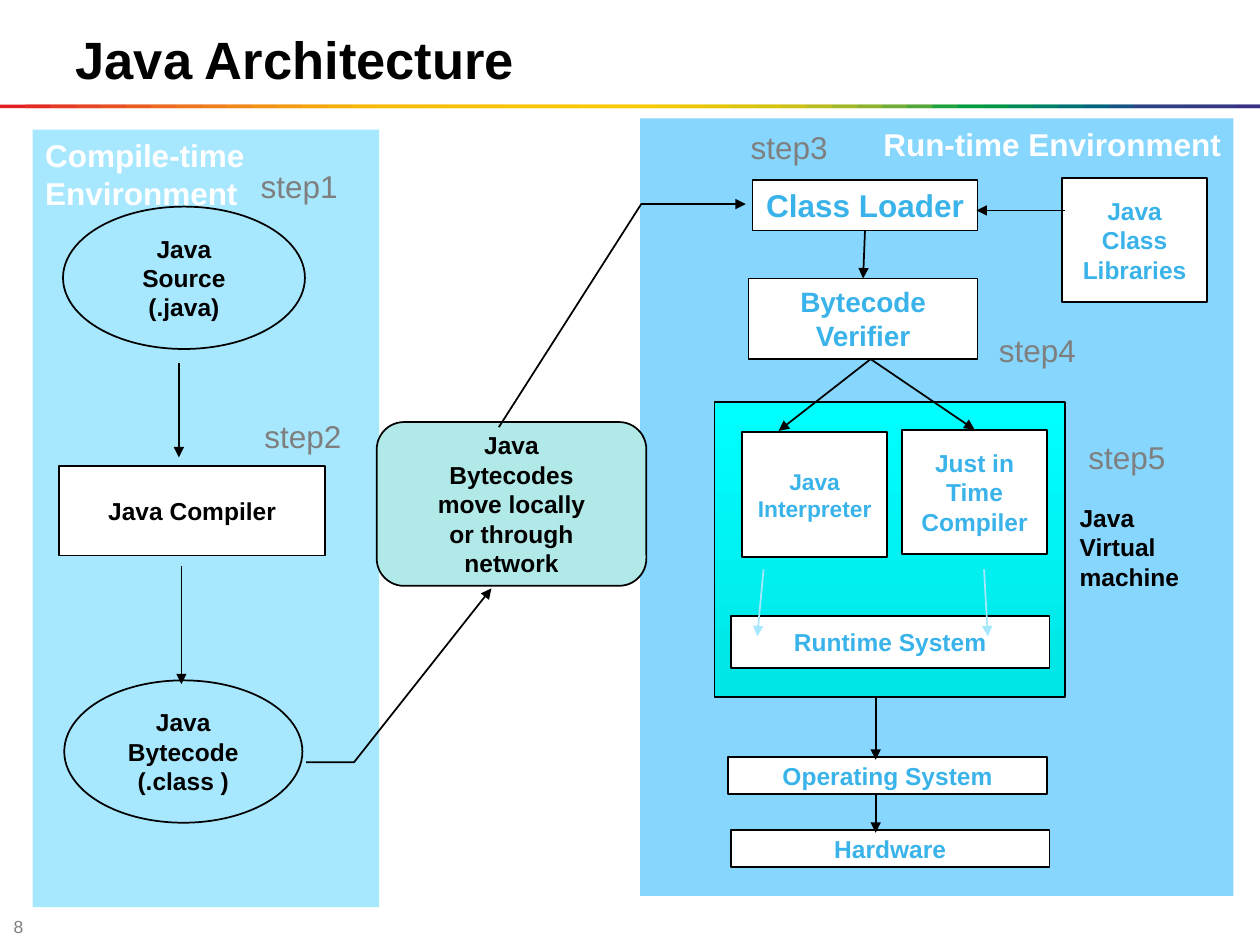
from lxml.etree import SubElement
from pptx import Presentation
from pptx.dml.color import RGBColor
from pptx.enum.shapes import MSO_CONNECTOR, MSO_SHAPE
from pptx.enum.text import MSO_ANCHOR, PP_ALIGN
from pptx.oxml.ns import qn
from pptx.util import Inches, Pt

COLORS = {
    "black": "000000", "white": "FFFFFF", "grey": "7F7F7F", "blue": "39B3E9",
    "run": "86D6FE", "compile": "A7E8FF", "network": "B1E9E8",
    "machine_top": "00FFFF", "machine_bottom": "00E5E5",
}
RAINBOW = """
E31E24 E42C24 E53A24 E74623 E85122 EA5D21 EC691F EE741D EF7E1A F18817
F39314 F49C0F F6A607 F8B002 FBBA00 FBBB00 FBBD00 FCBF00 FCC000 FCC200
FDC400 FDC600 FDC700 FEC900 FECB00 FBCB00 F3CA00 ECC800 E4C602 DCC50A
D5C30E CCC117 B8BC21 A3B829 8CB230 71AD36 51A73B 1DA240 009D43 009846
008C57 008068 007275 00637F 185384 2E4285 313E85 333B85 353885 393185
""".split()
COLUMNS, ROWS = 100, 75
LEFT, CENTER, RIGHT = PP_ALIGN.LEFT, PP_ALIGN.CENTER, PP_ALIGN.RIGHT
TOP, MIDDLE = MSO_ANCHOR.TOP, MSO_ANCHOR.MIDDLE


def write(frame, text, size=14, color="black", bold=True, align=CENTER, anchor=MIDDLE, wrap=True):
    """Fill a text frame, one paragraph for each line of text."""
    frame.word_wrap = wrap
    frame.vertical_anchor = anchor
    for index, line in enumerate(text.split("\n")):
        para = frame.add_paragraph() if index else frame.paragraphs[0]
        para.alignment = align
        span = para.add_run()
        span.text = line
        span.font.name = "Arial"
        span.font.size = Pt(size)
        span.font.bold = bold
        span.font.color.rgb = RGBColor.from_string(COLORS[color])


class Diagram:
    """Style and current slide, with lengths in grid columns and rows."""

    def __init__(self, deck):
        """Add a title-only slide to the deck."""
        self.page = deck.slides.add_slide(deck.slide_layouts[5])
        self.column = deck.slide_width / COLUMNS
        self.row = deck.slide_height / ROWS

    def place(self, *numbers):
        """Turn alternating columns and rows into lengths."""
        return [round(number * (self.row if index % 2 else self.column))
                for index, number in enumerate(numbers)]

    def title(self, text, at):
        """Move and fill the title placeholder."""
        title = self.page.shapes.title
        title.left, title.top, title.width, title.height = self.place(*at)
        write(title.text_frame, text, size=30, align=LEFT)

    def label(self, text, at, **style):
        """Add a text box."""
        box = self.page.shapes.add_textbox(*self.place(*at))
        write(box.text_frame, text, **{"align": LEFT, **style})

    def block(self, at, text="", fill="FFFFFF", line=1, kind=MSO_SHAPE.RECTANGLE, **style):
        """Add a preset shape with optional fill, outline and text."""
        box = self.page.shapes.add_shape(kind, *self.place(*at))
        box.shadow.inherit = False
        if fill:
            box.fill.solid()
            box.fill.fore_color.rgb = RGBColor.from_string(fill)
        else:
            box.fill.background()
        self.outline(box, line)
        if text:
            write(box.text_frame, text, **style)
        return box

    def outline(self, shape, width, color="black"):
        """Set or remove the line of a shape."""
        if width:
            shape.line.color.rgb = RGBColor.from_string(COLORS[color])
            shape.line.width = Pt(width)
        else:
            shape.line.fill.background()

    def gradient(self, box, *names):
        """Give a box a gradient from top to bottom."""
        box.fill.gradient()
        box.fill.gradient_angle = 270
        for stop, name in zip(box.fill.gradient_stops, names):
            stop.color.rgb = RGBColor.from_string(COLORS[name])

    def point(self, shape):
        """Put an arrowhead at the end of a line."""
        SubElement(shape.element.spPr.find(qn("a:ln")), qn("a:tailEnd"), type="triangle")

    def arrow(self, ends, color="black", begin=None, end=None):
        """Add a straight arrow, joined to any given (box, side)."""
        arrow = self.page.shapes.add_connector(MSO_CONNECTOR.STRAIGHT, *self.place(*ends))
        if begin:
            arrow.begin_connect(*begin)
        if end:
            arrow.end_connect(*end)
        self.outline(arrow, 1, color)
        self.point(arrow)
        SubElement(arrow.element.spPr, qn("a:effectLst"))

    def bent_arrow(self, *points):
        """Add an arrow that runs through several points."""
        start, *others = [self.place(*point) for point in points]
        builder = self.page.shapes.build_freeform(*start)
        builder.add_line_segments(others, close=False)
        arrow = builder.convert_to_shape()
        arrow.shadow.inherit = False
        arrow.fill.background()
        self.outline(arrow, 1)
        self.point(arrow)

    def rainbow(self, top, height):
        """Draw the rule below the title as overlapping colour steps."""
        step = COLUMNS / len(RAINBOW)
        for index, color in enumerate(RAINBOW):
            left = index * step
            self.block((left, top, min(2 * step, COLUMNS - left), height), fill=color, line=0)


def main():
    """Build the slide and save it."""
    deck = Presentation()
    deck.slide_width, deck.slide_height = Inches(10), Inches(7.5)
    art = Diagram(deck)
    art.label("8", (0.1, 72.7, 3.9, 1.6), size=10, color="grey", bold=False)
    art.rainbow(8.3, 0.3)
    art.title("Java Architecture", (5, 1.6, 90, 6.1))

    heading = {"size": 18, "color": "white", "anchor": TOP, "line": 0}
    art.block((50.8, 9.4, 47.1, 61.7), "Run-time Environment", COLORS["run"], align=RIGHT, **heading)
    art.block((2.6, 10.3, 27.5, 61.7), "Compile-time Environment", COLORS["compile"], align=LEFT, **heading)
    art.block((29.9, 33.5, 21.4, 13), "Java\nBytecodes\nmove locally\nor through\nnetwork",
              COLORS["network"], kind=MSO_SHAPE.FLOWCHART_ALTERNATE_PROCESS, wrap=False)
    art.block((5, 16.4, 19.2, 11.3), "Java\nSource\n(.java)", None, kind=MSO_SHAPE.OVAL)
    art.block((4.7, 37, 21.1, 7.1), "Java Compiler")
    art.block((5.1, 54, 18.9, 11.3), "Java\nBytecode\n(.class )", None, kind=MSO_SHAPE.OVAL)
    art.arrow((14.2, 28.8, 14.2, 36.3))
    art.arrow((14.4, 44.9, 14.4, 54.3))

    machine = art.block((56.7, 31.9, 27.8, 23.4))
    art.gradient(machine, "machine_top", "machine_bottom")
    art.block((58.9, 34.3, 11.5, 9.9), "Java\nInterpreter", size=13, color="blue")
    compiler = art.block((71.6, 34.1, 11.5, 9.9), "Just in Time\nCompiler", color="blue")
    art.block((84.3, 14.1, 11.5, 9.9), "Java Class\nLibraries", color="blue")
    for text, left, top, height in (
        ("Runtime System", 58, 48.9, 4.1),
        ("Operating System", 57.8, 60.1, 2.9),
        ("Hardware", 58, 65.9, 2.9),
    ):
        art.block((left, top, 25.3, height), text, color="blue", wrap=False)
    loader = art.block((59.7, 14.3, 17.9, 4), "Class Loader", line=0.75, size=18, color="blue", anchor=TOP)
    verifier = art.block((59.4, 22.1, 18.2, 6.4), "Bytecode Verifier", line=0.75, size=16,
                         color="blue", anchor=TOP)

    art.arrow((60.6, 45.2, 60.1, 50.5), "compile")
    art.arrow((78.1, 45.2, 78.4, 50.5), "compile")
    art.arrow((84.5, 16.7, 77.5, 16.7))
    art.arrow((68.6, 18.3, 68.6, 22.1), begin=(loader, 2), end=(verifier, 0))
    art.arrow((69.1, 28.5, 61.8, 34.2))
    art.arrow((69.1, 28.5, 77.4, 34.1), end=(compiler, 0))
    art.arrow((69.5, 55.4, 69.5, 60.3))
    art.arrow((69.5, 63, 69.5, 66.1))
    art.bent_arrow((24.3, 60.5), (28.1, 60.5), (39, 46.7))
    art.bent_arrow((39.6, 33.9), (50.9, 16.2), (59.2, 16.2))

    art.label("Java\nVirtual\nmachine", (84.7, 39.4, 11.6, 8))
    steps = ((19.7, 12.8), (20, 32.6), (58.6, 9.7), (78.3, 25.8), (85.4, 34.3))
    for number, (left, top) in enumerate(steps, 1):
        art.label(f"step{number}", (left, top, 8.1, 4), size=18, color="grey",
                  bold=False, anchor=TOP, wrap=False)
    deck.save("out.pptx")


if __name__ == "__main__":
    main()
